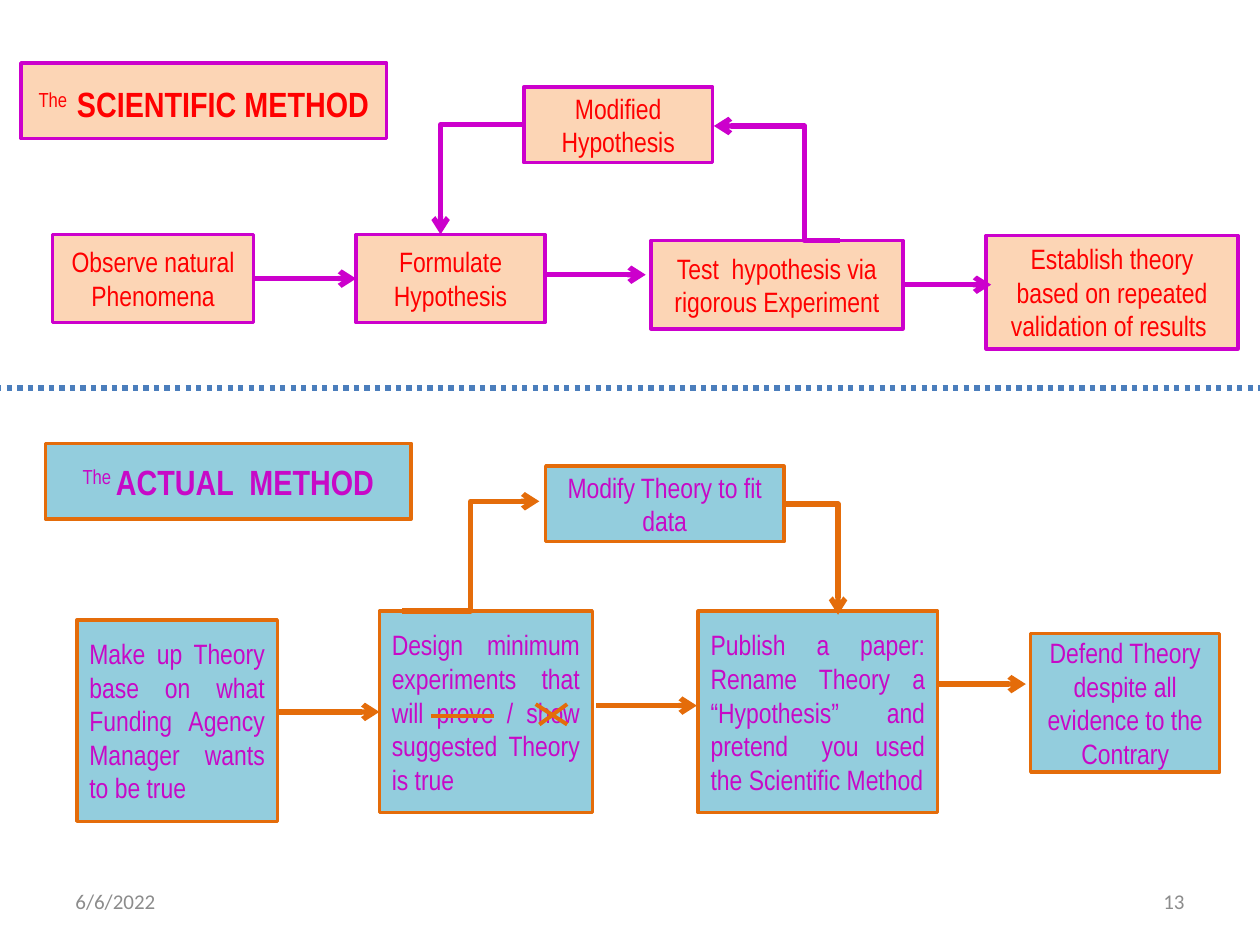
from lxml import etree
from pptx import Presentation
from pptx.dml.color import RGBColor
from pptx.enum import dml, shapes, text
from pptx.oxml import ns
from pptx.util import Pt

COLORS = {
    "peach": "FCD5B5", "magenta": "CC00CC", "red": "FF0000",
    "aqua": "93CDDD", "orange": "E46C0A", "purple": "C709C7",
    "blue": "4B7EBC", "gray": "8C8C8C",
}
SCIENTIFIC = {"fill": "peach", "line": "magenta", "color": "red"}
ACTUAL = {"fill": "aqua", "line": "orange", "color": "purple"}
CENTER, RIGHT, JUSTIFY = (text.PP_ALIGN.CENTER, text.PP_ALIGN.RIGHT,
                          text.PP_ALIGN.JUSTIFY)


def rgb(name):
    return RGBColor.from_string(COLORS[name])


def add_run(p, words, font="Arial Narrow", size=16, color="gray", bold=False,
            raised=False):
    r = p.add_run()
    r.text = words
    r.font.name, r.font.size, r.font.bold = font, Pt(size), bold
    r.font.color.rgb = rgb(color)
    if raised:
        r.font._element.set("baseline", "30000")


def first_paragraph(sp, align):
    tf = sp.text_frame
    tf.word_wrap = True
    tf.vertical_anchor = text.MSO_ANCHOR.MIDDLE
    p = tf.paragraphs[0]
    p.alignment = align
    return p


class Diagram:
    """A group of boxes and lines, placed relative to its top left corner."""

    def __init__(self, s, left, top, style):
        self.canvas = s.shapes.add_group_shape().shapes
        self.left, self.top, self.style = left, top, style

    def box(self, x, y, w, h, *runs, align=CENTER):
        """Each run is a string or a pair of a string and its format."""
        sp = self.canvas.add_shape(
            shapes.MSO_SHAPE.RECTANGLE, Pt(self.left + x), Pt(self.top + y),
            Pt(w), Pt(h))
        sp.shadow.inherit = False
        sp.fill.solid()
        sp.fill.fore_color.rgb = rgb(self.style["fill"])
        sp.line.color.rgb = rgb(self.style["line"])
        sp.line.width = Pt(2)
        p = first_paragraph(sp, align)
        for run in runs:
            words, form = (run, {}) if isinstance(run, str) else run
            add_run(p, words, color=self.style["color"], **form)
        return sp

    def line(self, x1, y1, x2, y2, **form):
        return add_line(self.canvas, self.left + x1, self.top + y1,
                        self.left + x2, self.top + y2,
                        self.style["line"], **form)


def add_line(canvas, x1, y1, x2, y2, color, width=3, ends=("tail",), bends=0,
             bend_at=0.5):
    """Draw a straight line, or an elbow with one or two bends."""
    kind = shapes.MSO_CONNECTOR.ELBOW if bends else shapes.MSO_CONNECTOR.STRAIGHT
    c = canvas.add_connector(kind, Pt(x1), Pt(y1), Pt(x2), Pt(y2))
    c.line.color.rgb = rgb(color)
    c.line.width = Pt(width)
    props = c._element.spPr
    geom = props.find(ns.qn("a:prstGeom"))
    if bends == 1:
        geom.set("prst", "bentConnector2")
    elif bends == 2:
        guides = geom.find(ns.qn("a:avLst"))
        if guides is None:
            guides = etree.SubElement(geom, ns.qn("a:avLst"))
        etree.SubElement(guides, ns.qn("a:gd"), name="adj1",
                         fmla=f"val {round(bend_at * 100000)}")
    for end in ends:
        etree.SubElement(props.find(ns.qn("a:ln")), ns.qn(f"a:{end}End"),
                         type="arrow")
    etree.SubElement(props, ns.qn("a:effectLst"))
    return c


def scientific_method(s, left, top):
    d = Diagram(s, left, top, SCIENTIFIC)
    d.box(0, 0, 209, 43.2, ("The", {"size": 20, "raised": True}),
          (" ", {"size": 24}), ("SCIENTIFIC METHOD", {"size": 20, "bold": True}))
    observe = d.box(18, 98, 115, 50.4, "Observe natural Phenomena")
    formulate = d.box(191.5, 98, 108, 50.4, "Formulate Hypothesis")
    test = d.box(360, 101.5, 144, 50.4, "Test  hypothesis via rigorous Experiment")
    d.box(551.5, 98.6, 144, 64.8,
          "Establish theory based on repeated validation of results ")
    d.box(287.3, 13.7, 108, 43.2, "Modified Hypothesis")

    c = d.line(133, 123.2, 191.5, 123.2)
    c.begin_connect(observe, 3)
    c.end_connect(formulate, 1)
    d.line(299.5, 121, 357, 121)
    d.line(504, 126.7, 554.4, 126.7).begin_connect(test, 3)
    d.line(287.3, 35.3, 239.8, 98, bends=1)
    d.line(468, 101.5, 396, 36, bends=2, bend_at=0.28)


def actual_method(s, left, top):
    d = Diagram(s, left, top, ACTUAL)
    d.box(0, 0, 209, 43.2, ("The ", {"size": 20, "raised": True}),
          ("ACTUAL  METHOD", {"size": 20, "bold": True}))
    d.box(18, 100.8, 114.5, 115.2,
          "Make up Theory base on what Funding Agency Manager wants to be true",
          align=JUSTIFY)
    design = d.box(
        190.8, 95.8, 121.7, 115.2,
        "Design minimum experiments that will prove / show suggested Theory is true",
        align=JUSTIFY)
    d.box(373, 95.8, 136.8, 115.2,
          "Publish a paper: Rename Theory a “Hypothesis” and pretend  you used "
          "the Scientific Method", align=JUSTIFY)
    d.box(563, 108.7, 108, 79.2,
          "Defend Theory despite all evidence to the Contrary")
    d.box(285.8, 13, 136.1, 43.2, "Modify Theory to fit data")

    d.line(132.5, 153.4, 190.8, 153.4).end_connect(design, 1)
    d.line(314.6, 149.8, 372.2, 149.8)
    d.line(509.8, 137.5, 560.2, 137.5)
    d.line(203.8, 95.8, 282.2, 33.1, bends=2)
    d.line(421.9, 34.6, 452.9, 97.9, bends=1)

    strikes = [(220.3, 155.5, 256.3, 155.5),
               (280.1, 149, 298.1, 160.6), (298.1, 149, 282.2, 160.6)]
    for ends in strikes:
        d.line(*ends, width=2.25, ends=())


def footer(s, left, top, width, height):
    w = 168
    for x, words, align in ((left, "6/6/2022", text.PP_ALIGN.LEFT),
                            (left + width - w, "13", RIGHT)):
        sp = s.shapes.add_textbox(Pt(x), Pt(top), Pt(w), Pt(height))
        add_run(first_paragraph(sp, align), words, font="Calibri", size=12)


def main():
    prs = Presentation()
    prs.slide_width, prs.slide_height = Pt(720), Pt(540)
    s = prs.slides.add_slide(prs.slide_layouts[6])
    footer(s, 36, 500.5, 648, 28.75)
    scientific_method(s, 12, 36)
    actual_method(s, 26, 253.4)
    divider = add_line(s.shapes, -24, 221.8, 739.5, 221.8, "blue",
                       ends=("head", "tail"))
    divider.line.dash_style = dml.MSO_LINE.ROUND_DOT
    prs.save("out.pptx")


if __name__ == "__main__":
    main()
